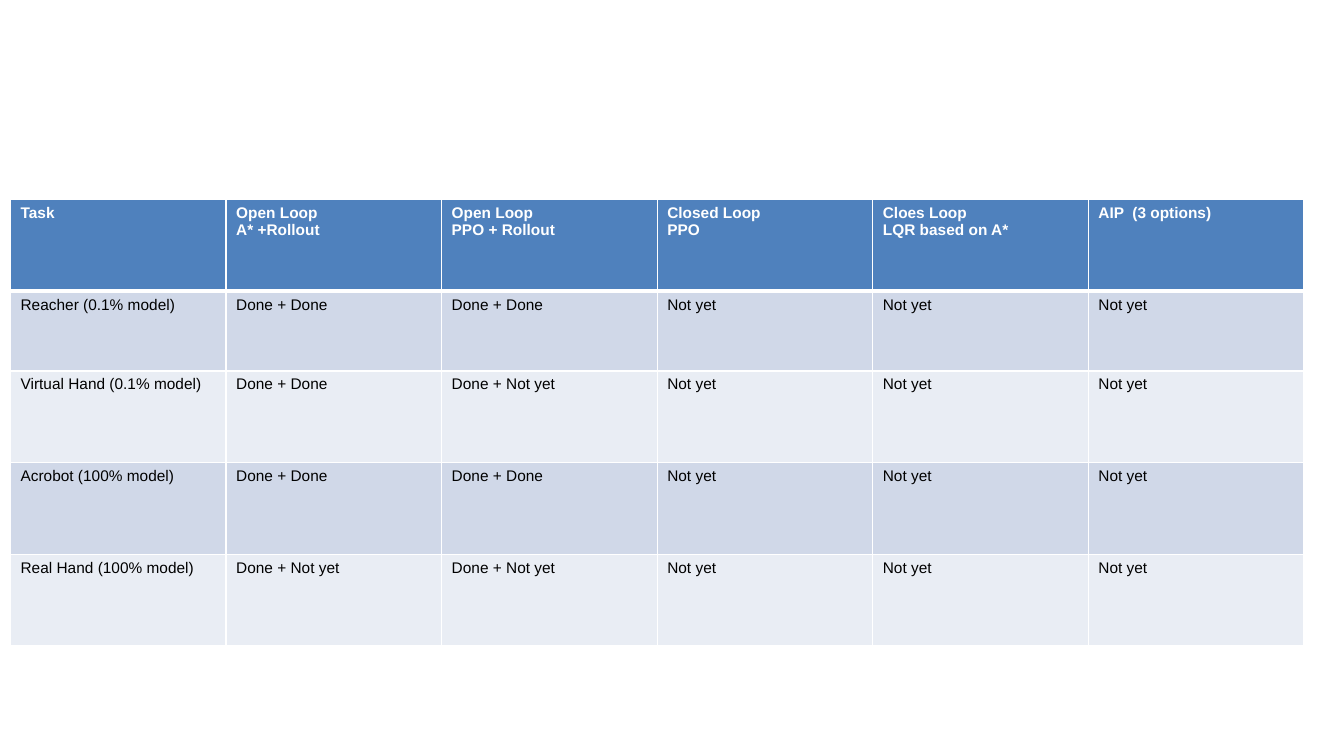
from lxml.etree import SubElement
from pptx import Presentation
from pptx.dml.color import RGBColor
from pptx.oxml.ns import qn
from pptx.util import Pt

WHITE = RGBColor(0xFF, 0xFF, 0xFF)
BLACK = RGBColor(0, 0, 0)
BLUE = RGBColor(0x4F, 0x81, 0xBD)
BANDS = RGBColor(0xD0, 0xD8, 0xE8), RGBColor(0xE9, 0xED, 0xF4)

HEADS = ["Task", "Open Loop\nA* +Rollout", "Open Loop\nPPO + Rollout",
         "Closed Loop\nPPO", "Cloes Loop\nLQR based on A*", "AIP  (3 options)"]
DONE = "Done + Done"
PART = "Done + Not yet"
TASKS = [("Reacher (0.1% model)", DONE, DONE),
         ("Virtual Hand (0.1% model)", DONE, PART),
         ("Acrobot (100% model)", DONE, DONE),
         ("Real Hand (100% model)", PART, PART)]
ROWS = [HEADS] + [[*task] + ["Not yet"] * 3 for task in TASKS]
HIGHS = [65.5, 57, 65.5, 65.5, 65.5]


class Deck:
    font = "Arial"
    size = Pt(11)

    def __init__(self, wide, high):
        self.show = Presentation()
        self.show.slide_width = Pt(wide)
        self.show.slide_height = Pt(high)
        self.slide = self.show.slides.add_slide(self.show.slide_layouts[6])

    def text(self, frame, words, color, bold):
        for num, line in enumerate(words.split("\n")):
            para = frame.add_paragraph() if num else frame.paragraphs[0]
            run = para.add_run()
            run.text = line
            run.font.name = self.font
            run.font.size = self.size
            run.font.bold = bold
            run.font.color.rgb = color

    def edge(self, cell, side, width):
        line = SubElement(cell._tc.get_or_add_tcPr(), qn(f"a:ln{side}"), w=str(Pt(width)))
        fill = SubElement(line, qn("a:solidFill"))
        SubElement(fill, qn("a:srgbClr"), val=str(WHITE))

    def cell(self, cell, words, row):
        head = row == 0
        for side in "LRTB":
            thick = (side == "B" and head) or (side == "T" and row == 1)
            self.edge(cell, side, 3 if thick else 1)
        cell.fill.solid()
        cell.fill.fore_color.rgb = BLUE if head else BANDS[(row - 1) % 2]
        self.text(cell.text_frame, words, WHITE if head else BLACK, head)

    def table(self, left, top, wide, rows, highs):
        count = len(rows[0])
        grid = self.slide.shapes.add_table(
            len(rows), count, Pt(left), Pt(top), Pt(wide), Pt(sum(highs))).table
        for col in grid.columns:
            col.width = Pt(wide / count)
        for row, (words, high) in enumerate(zip(rows, highs)):
            grid.rows[row].height = Pt(high)
            for col, word in enumerate(words):
                self.cell(grid.cell(row, col), word, row)


def main():
    deck = Deck(960, 540)
    deck.table(7.5, 142.5, 924, ROWS, HIGHS)
    deck.show.save("out.pptx")


if __name__ == "__main__":
    main()
